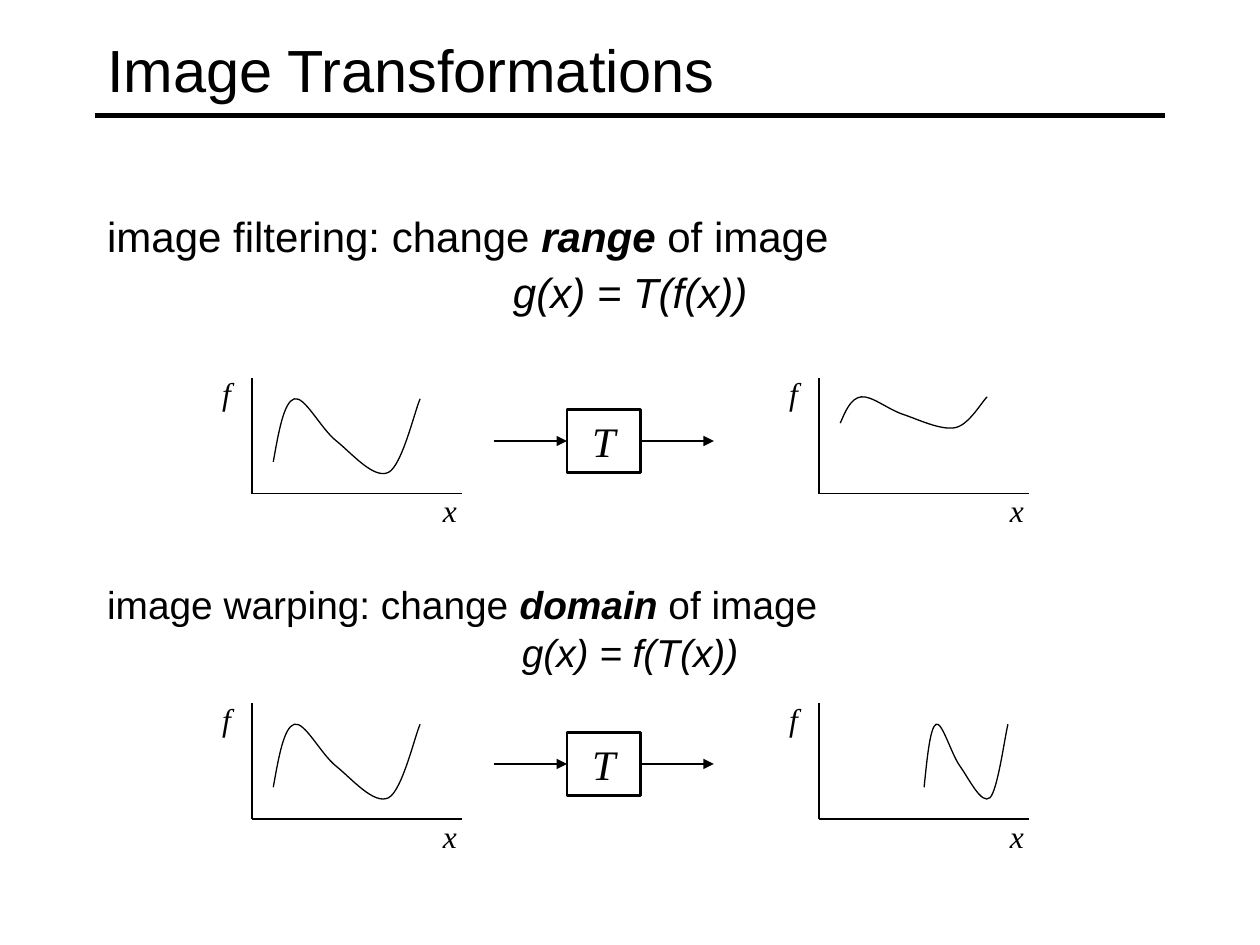
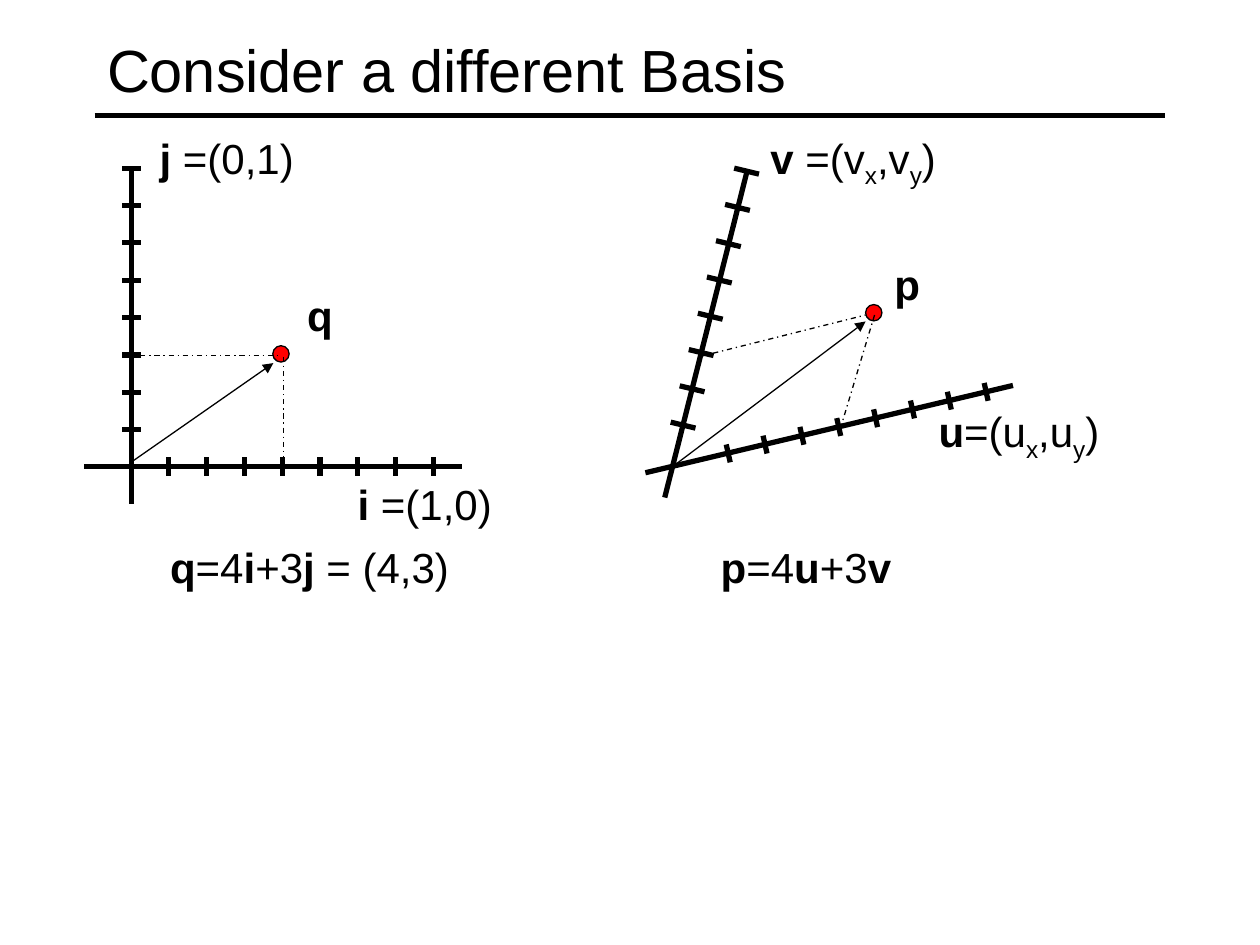
from lxml.etree import SubElement
from pptx import Presentation
from pptx.dml.color import RGBColor
from pptx.enum.dml import MSO_LINE
from pptx.enum.shapes import MSO_CONNECTOR, MSO_SHAPE
from pptx.enum.text import MSO_ANCHOR, PP_ALIGN
from pptx.oxml.ns import qn
from pptx.util import Cm, Pt

COLORS = {"ink": "000000", "point": "FF0000"}
INK = RGBColor.from_string(COLORS["ink"])
SANS, SERIF = "Arial", "Times New Roman"


def add_text(slide, paragraphs, left, top, width, height, size=24, font=SANS,
             align=PP_ALIGN.LEFT, anchor=MSO_ANCHOR.TOP, before=0,
             spacing=None, border=None):
    """Each paragraph is a list of (text, style); style holds b, i or s (subscript)."""
    place = Cm(left), Cm(top), Cm(width), Cm(height)
    if border:
        box = slide.shapes.add_shape(MSO_SHAPE.RECTANGLE, *place)
        box.shadow.inherit = False
        box.fill.background()
        box.line.color.rgb = INK
        box.line.width = Pt(border)
    else:
        box = slide.shapes.add_textbox(*place)
    frame = box.text_frame
    frame.word_wrap = True
    frame.vertical_anchor = anchor
    for index, runs in enumerate(paragraphs):
        paragraph = frame.add_paragraph() if index else frame.paragraphs[0]
        paragraph.alignment = align[index] if isinstance(align, list) else align
        paragraph.space_before = Pt(before)
        if spacing:
            paragraph.line_spacing = spacing[index]
        for text, style in runs:
            run = paragraph.add_run()
            run.text = text
            run.font.name = font
            run.font.size = Pt(size)
            run.font.color.rgb = INK
            run.font.bold = "b" in style
            run.font.italic = "i" in style
            if "s" in style:
                run.font._element.set("baseline", "-25000")


def add_line(slide, x1, y1, x2, y2, weight=0.75, dash=None, arrow=False):
    line = slide.shapes.add_connector(MSO_CONNECTOR.STRAIGHT, Cm(x1), Cm(y1), Cm(x2), Cm(y2))
    line.line.color.rgb = INK
    line.line.width = Pt(weight)
    if dash:
        line.line.dash_style = dash
    if arrow:
        SubElement(line.line._get_or_add_ln(), qn("a:tailEnd"), type="triangle")
    SubElement(line._element.spPr, qn("a:effectLst"))


prs = Presentation()
prs.slide_width, prs.slide_height = Cm(25.4), Cm(19.05)

# Shared title and rule
slides = []
for title in ("Image Transformations", "Consider a different Basis"):
    slide = prs.slides.add_slide(prs.slide_layouts[6])
    add_line(slide, 1.91, 2.33, 23.49, 2.33, weight=3)
    add_text(slide, [[(title, "")]], 1.91, 0.22, 21.59, 2.33, size=34, anchor=MSO_ANCHOR.MIDDLE)
    slides.append(slide)
transformations, basis = slides

# Statements on filtering and warping
statements = [
    ("filtering", "range", "g(x) = T(f(x))", 4.23, 24, [0.9, 0.9]),
    ("warping", "domain", "g(x) = f(T(x))", 11.01, 22.2, [1.6, 0.8]),
]
for operation, changed, formula, top, size, spacing in statements:
    add_text(transformations,
             [[(f"image {operation}: change ", ""), (changed, "bi"), (" of image", "")],
              [(formula, "i")]],
             1.91, top, 21.59, 2.75, size=size, before=6, spacing=spacing,
             align=[PP_ALIGN.LEFT, PP_ALIGN.CENTER])

# Signal as Bezier points: a start, then three points per segment
SIGNAL = [(x / 14, (y - 2) / 6) for x, y in [
    (0, 8), (0.5, 5.2), (1, 2.3), (2, 2), (3, 1.7), (4.5, 4.8), (6, 6),
    (7.5, 7.2), (9.6, 9.7), (11, 9), (12.3, 8.3), (13.5, 3.1), (14, 2)]]

# Plots: axis left and top, then signal offsets, width and depth
plots = [
    (5.08, 7.62, 0.43, 0.42, 2.96, 1.27),
    (16.51, 7.62, 0.43, 0.38, 2.96, 0.53),
    (5.08, 14.18, 0.43, 0.42, 2.96, 1.27),
    (16.51, 14.18, 2.12, 0.42, 1.69, 1.27),
]
for left, top, shift, drop, width, depth in plots:
    bottom = top + 2.33
    add_line(transformations, left, top, left, bottom)
    add_line(transformations, left, bottom, left + 4.23, bottom)
    curve = [(Cm(left + shift + x * width), Cm(top + drop + y * depth)) for x, y in SIGNAL]
    builder = transformations.shapes.build_freeform(*curve[0], scale=1.0)
    builder.add_line_segments(curve[1:], close=False)
    signal = builder.convert_to_shape()
    signal.shadow.inherit = False
    signal.fill.background()
    signal.line.color.rgb = INK
    signal.line.width = Pt(0.75)
    # Join every three straight steps into one cubic segment
    steps = list(signal._element.iter(qn("a:lnTo")))
    outline = steps[0].getparent()
    for first in range(0, len(steps), 3):
        cubic = SubElement(outline, qn("a:cubicBezTo"))
        for step in steps[first:first + 3]:
            cubic.append(step[0])
            outline.remove(step)
    for label, x, y in (("f", left - 0.85, top - 0.2), ("x", left + 3.6, top + 2.16)):
        add_text(transformations, [[(label, "i")]], x, y, 1.06, 1.02,
                 size=18, font=SERIF, before=11.2)

# Transform boxes with arrows in and out
for middle in (8.89, 15.4):
    add_text(transformations, [[("T", "i")]], 11.43, middle - 0.635, 1.48, 1.27, font=SERIF,
             align=PP_ALIGN.CENTER, before=15, border=1.5)
    for start, end in ((9.95, 11.43), (12.91, 14.39)):
        add_line(transformations, start, middle, end, middle, arrow=True)

# Basis axes: line ends, first and last tick centre, half tick
TICKS = 8
axes = [
    ((2.65, 3.39, 2.65, 10.16), (2.65, 8.66), (2.65, 3.39), (0.19, 0)),
    ((1.7, 9.41, 9.32, 9.41), (3.4, 9.41), (8.74, 9.41), (0, 0.19)),
    ((13.01, 9.53, 20.42, 7.77), (14.68, 9.14), (19.88, 7.9), (0.04, 0.18)),
    ((15.06, 3.45, 13.4, 10.03), (13.77, 8.57), (15.05, 3.45), (0.25, 0.06)),
]
for ends, (first_x, first_y), (last_x, last_y), (half_x, half_y) in axes:
    add_line(basis, *ends, weight=3)
    for tick in range(TICKS):
        x = first_x + (last_x - first_x) * tick / (TICKS - 1)
        y = first_y + (last_y - first_y) * tick / (TICKS - 1)
        add_line(basis, x - half_x, y - half_y, x + half_x, y + half_y, weight=3)

# Points q and p
for left, top in ((5.5, 6.97), (17.45, 6.14)):
    point = basis.shapes.add_shape(MSO_SHAPE.OVAL, Cm(left), Cm(top), Cm(0.33), Cm(0.33))
    point.shadow.inherit = False
    point.fill.solid()
    point.fill.fore_color.rgb = RGBColor.from_string(COLORS["point"])
    point.line.color.rgb = INK
    point.line.width = Pt(0.75)

# Projections and position vectors
for projection in ((2.54, 7.16, 5.59, 7.16), (5.72, 7.19, 5.72, 9.32),
                   (14.1, 7.19, 17.45, 6.35), (16.94, 8.64, 17.63, 6.35)):
    add_line(basis, *projection, dash=MSO_LINE.DASH_DOT)
for vector in ((2.64, 9.32, 5.51, 7.32), (13.54, 9.42, 17.45, 6.48)):
    add_line(basis, *vector, arrow=True)

# Labels and equations
labels = [
    ([("j", "b"), (" =(0,1)", "")], 2.97, 2.54, 3.4, 1.27),
    ([("i", "b"), (" =(1,0)", "")], 6.96, 9.53, 3.4, 1.27),
    ([("q", "b")], 5.94, 5.72, 1.1, 1.27),
    ([("p", "b")], 17.78, 5.08, 1.1, 1.27),
    ([("v", "b"), (" =(v", ""), ("x", "s"), (",v", ""), ("y", "s"), (")", "")],
     15.28, 2.54, 4, 1.42),
    ([("u", "b"), ("=(u", ""), ("x", "s"), (",u", ""), ("y", "s"), (")", "")],
     18.67, 8.05, 4, 1.42),
    ([("q", "b"), ("=4", ""), ("i", "b"), ("+3", ""), ("j", "b"), (" = (4,3)", "")],
     3.18, 10.8, 6.3, 1.27),
    ([("p", "b"), ("=4", ""), ("u", "b"), ("+3", ""), ("v", "b")], 14.28, 10.8, 4.1, 1.27),
]
for runs, *place in labels:
    add_text(basis, [runs], *place)

prs.save("out.pptx")
